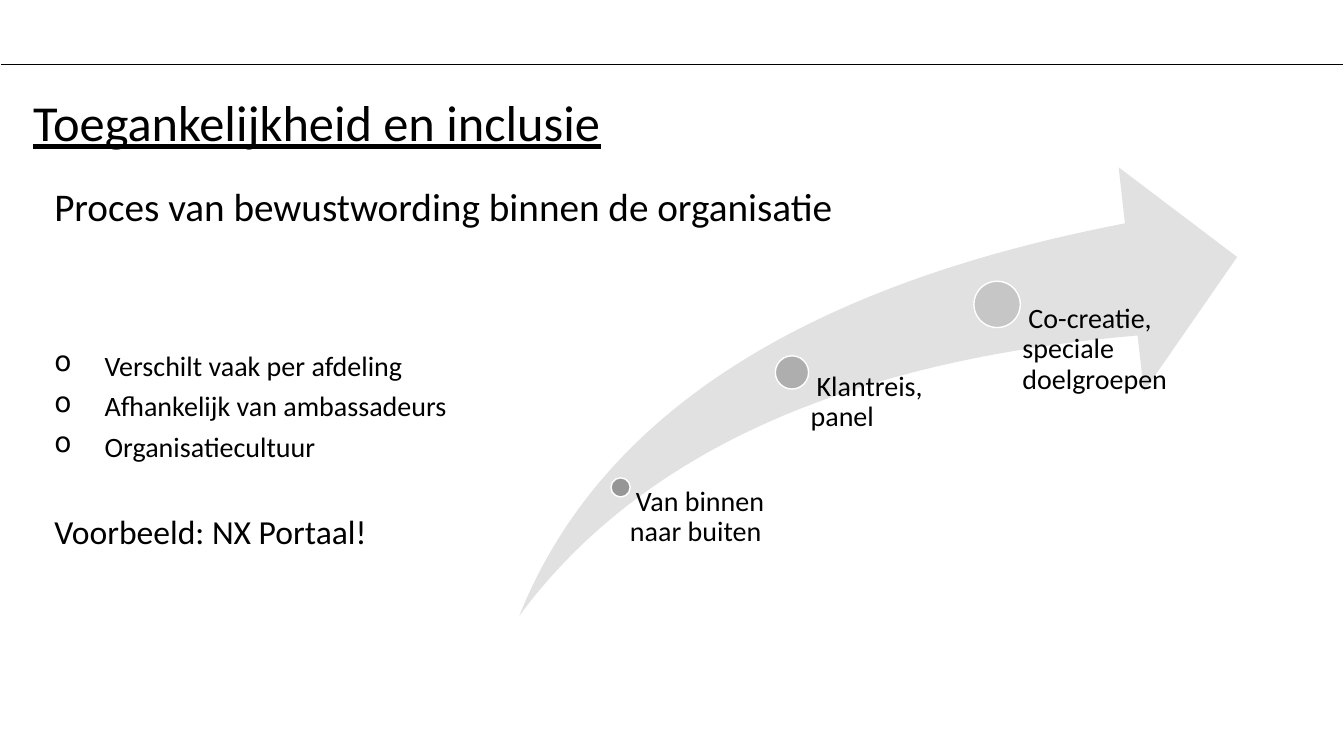
from dataclasses import dataclass

from lxml import etree
from pptx import Presentation
from pptx import util as u
from pptx.dml.color import RGBColor
from pptx.enum import shapes, text
from pptx.oxml import ns

COLORS = {"ink": "000000", "paper": "FFFFFF", "arrow": "E1E1E1",
          "dark": "969696", "mid": "AEAEAE", "light": "C6C6C6"}
FONT = "Calibri"
BASE = 6.11  # lower edge shared by the arrow and its labels


@dataclass
class Line:
    words: str
    size: int
    gap: int = 0
    bullet: bool = False


@dataclass
class Step:
    words: str
    color: str
    left: float
    top: float
    size: float
    text_left: float
    text_top: float
    width: float
    inset: float


LINES = [
    Line("Proces van bewustwording binnen de organisatie", 28),
    Line("Verschilt vaak per afdeling", 20, 80, True),
    Line("Afhankelijk van ambassadeurs", 20, 0, True),
    Line("Organisatiecultuur", 20, 0, True),
    Line("Voorbeeld: NX Portaal!", 24, 29),
]
STEPS = [
    Step("Van binnen naar buiten", "dark", 6.06, 4.74, 0.19, 6.15, 4.83, 1.66, 0.1),
    Step("Klantreis, panel", "mid", 7.69, 3.53, 0.33, 7.86, 3.69, 1.71, 0.18),
    Step("Co-creatie, speciale doelgroepen", "light", 9.66, 2.79, 0.46,
         9.89, 3.02, 1.71, 0.25),
]


def rgb(name: str) -> RGBColor:
    return RGBColor.from_string(COLORS[name])


def style(para, size: int, spacing: float) -> None:
    para.line_spacing = spacing
    for run in para.runs:
        run.font.name = FONT
        run.font.size = u.Pt(size)
        run.font.color.rgb = rgb("ink")


def indent(para, left: float, first: float) -> None:
    props = para._p.get_or_add_pPr()
    props.set("marL", str(u.Inches(left)))
    props.set("indent", str(u.Inches(first)))


def add_box(slide, left: float, top: float, width: float, height: float):
    box = slide.shapes.add_textbox(*map(u.Inches, (left, top, width, height)))
    box.text_frame.word_wrap = True
    return box.text_frame


def add_shape(slide, kind, left: float, top: float, width: float, height: float,
              color: str):
    shape = slide.shapes.add_shape(kind, *map(u.Inches, (left, top, width, height)))
    shape.shadow.inherit = False
    shape.fill.solid()
    shape.fill.fore_color.rgb = rgb(color)
    shape.line.fill.background()
    return shape


def add_band(slide) -> None:
    """Add the one-cell table whose lower border is the header rule."""
    area = map(u.Inches, (0, -0.05, 13.33, 0.69))
    cell = slide.shapes.add_table(1, 1, *area).table.cell(0, 0)
    props = cell._tc.get_or_add_tcPr()
    for side in "LRTB":
        edge = etree.SubElement(props, ns.qn(f"a:ln{side}"), w=str(u.Pt(1)))
        fill = etree.SubElement(edge, ns.qn("a:solidFill"))
        color = COLORS["ink" if side == "B" else "paper"]
        etree.SubElement(fill, ns.qn("a:srgbClr"), val=color)
    cell.fill.solid()
    cell.fill.fore_color.rgb = rgb("paper")


def add_title(slide) -> None:
    frame = add_box(slide, 0, 0.66, 13.33, 1.16)
    frame.vertical_anchor = text.MSO_ANCHOR.MIDDLE
    frame.text = "Toegankelijkheid en inclusie"
    para = frame.paragraphs[0]
    style(para, 36, 0.9)
    indent(para, 0.23, 0)
    para.runs[0].font.underline = True


def add_body(slide) -> None:
    frame = add_box(slide, 0.44, 1.67, 10.27, 3.87)
    frame.auto_size = text.MSO_AUTO_SIZE.SHAPE_TO_FIT_TEXT
    frame.text = "\n".join(line.words for line in LINES)
    for para, line in zip(frame.paragraphs, LINES):
        style(para, line.size, 1.2)
        para.space_before = u.Pt(line.gap)
        if line.bullet:
            indent(para, 0.5, -0.5)
            etree.SubElement(para._p.get_or_add_pPr(), ns.qn("a:buChar"), char="o")


def add_step(slide, step: Step) -> None:
    dot = add_shape(slide, shapes.MSO_SHAPE.OVAL, step.left, step.top,
                    step.size, step.size, step.color)
    dot.line.color.rgb = rgb("paper")
    dot.line.width = u.Pt(1)
    frame = add_box(slide, step.text_left, step.text_top, step.width,
                    BASE - step.text_top)
    frame.margin_left = u.Inches(step.inset)
    frame.margin_top = frame.margin_right = frame.margin_bottom = 0
    frame.text = step.words
    para = frame.paragraphs[0]
    style(para, 20, 0.9)
    indent(para, 0, 0.06)


def main() -> None:
    deck = Presentation()
    deck.slide_width, deck.slide_height = u.Inches(13.33), u.Inches(7.5)
    slide = deck.slides.add_slide(deck.slide_layouts[6])
    add_band(slide)
    add_title(slide)
    add_body(slide)
    arrow = add_shape(slide, shapes.MSO_SHAPE.SWOOSH_ARROW, 5.15, 1.66, 7.12,
                      BASE - 1.66, "arrow")
    arrow.adjustments[0] = arrow.adjustments[1] = 0.25
    for step in STEPS:
        add_step(slide, step)
    deck.save("out.pptx")


if __name__ == "__main__":
    main()
